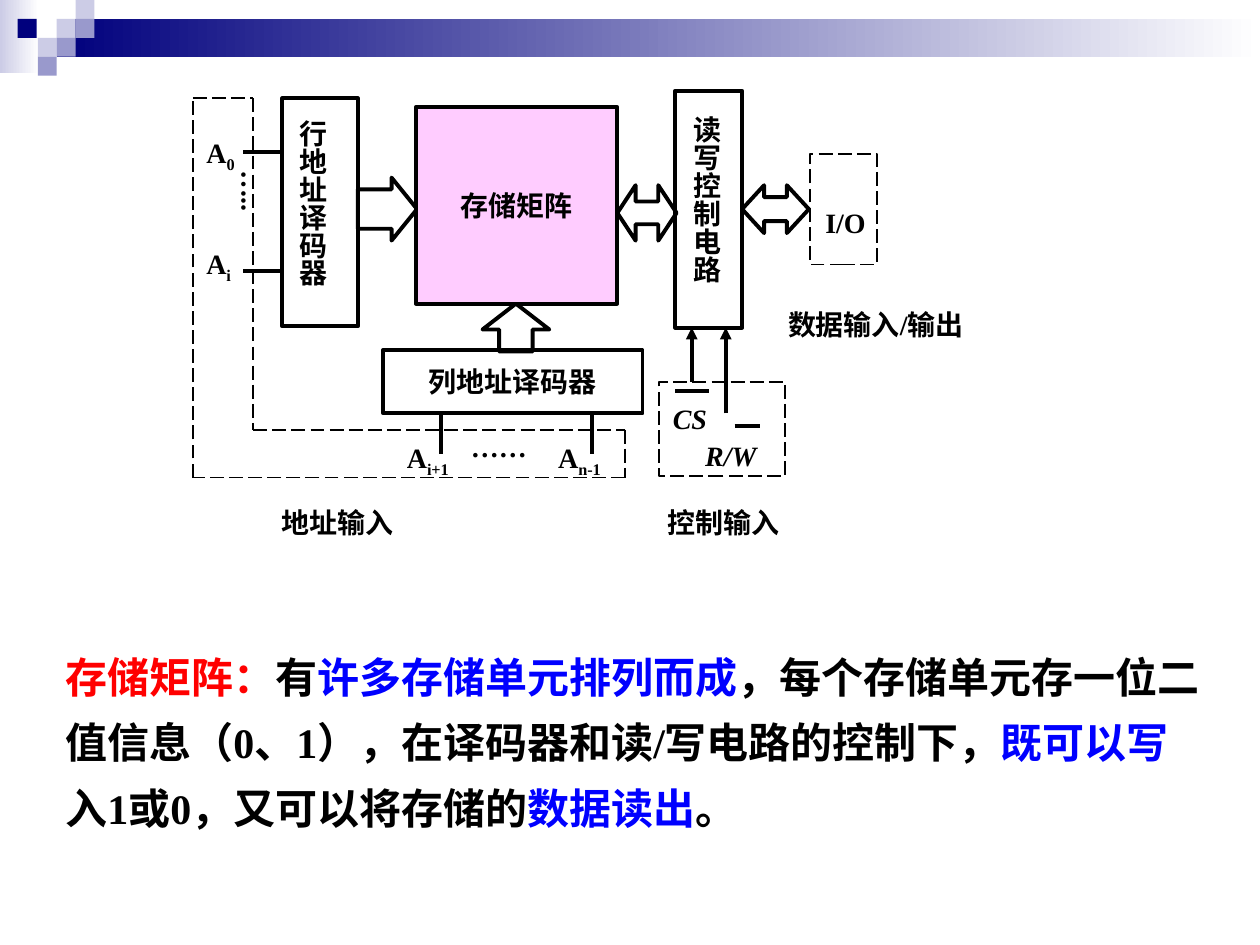
import pptx
import pptx.util
import pptx.dml.color
import pptx.enum.dml
import pptx.enum.shapes
import pptx.enum.text
import pptx.oxml
import pptx.oxml.ns

Inches = pptx.util.Inches
Pt = pptx.util.Pt
SHAPES = pptx.enum.shapes.MSO_SHAPE
ALIGN = pptx.enum.text.PP_ALIGN
LONG_DASH = pptx.enum.dml.MSO_LINE.LONG_DASH
COLORS = {
    "black": "000000", "white": "FFFFFF", "navy": "00007D", "lilac": "CCCCE6",
    "violet": "9999CC", "pink": "FFCCFF", "red": "FF0000", "blue": "0000FF",
}
RGB = {name: pptx.dml.color.RGBColor.from_string(code) for name, code in COLORS.items()}
LABEL_SLACK = 0.06  # extra room on each side along the text, so labels stay on one line

deck = pptx.Presentation()
deck.slide_width = Inches(10)
deck.slide_height = Inches(7.5)
page = deck.slides.add_slide(deck.slide_layouts[6])


def draw(kind, left, top, width, height, fill=None, line=None, dash=None, adjust=()):
    shape = page.shapes.add_shape(
        kind, Inches(left), Inches(top), Inches(width), Inches(height))
    shape.shadow.inherit = False
    for index, value in enumerate(adjust):
        shape.adjustments[index] = value
    if isinstance(fill, tuple):
        shape.fill.gradient()
        shape.fill.gradient_angle = 0
        for stop, name in zip(shape.fill.gradient_stops, fill):
            stop.color.rgb = RGB[name]
    elif fill:
        shape.fill.solid()
        shape.fill.fore_color.rgb = RGB[fill]
    else:
        shape.fill.background()
    if line:
        shape.line.color.rgb = RGB["black"]
        shape.line.width = Pt(line)
        shape.line.dash_style = dash
    else:
        shape.line.fill.background()
    return shape


def write(text, box=None, at=None, sub="", color="black", size=16, italic=False,
          align=ALIGN.CENTER, wrap=False, vertical=False, spacing=None):
    """Put text, or a list of (text, colour) parts, in a shape or a new text box."""
    new = box is None
    if new:
        left, top, width, height = at
        if vertical:
            top, height = top - LABEL_SLACK, height + 2 * LABEL_SLACK
        elif not wrap:
            left, width = left - LABEL_SLACK, width + 2 * LABEL_SLACK
        box = page.shapes.add_textbox(
            Inches(left), Inches(top), Inches(width), Inches(height))
    frame = box.text_frame
    frame.word_wrap = wrap
    if new:
        frame.auto_size = pptx.enum.text.MSO_AUTO_SIZE.SHAPE_TO_FIT_TEXT
    else:
        frame.vertical_anchor = pptx.enum.text.MSO_ANCHOR.MIDDLE
    if vertical:
        frame.margin_left = frame.margin_right = Inches(0.05)
        frame.margin_top = frame.margin_bottom = Inches(0.1)
        frame._txBody.bodyPr.set("vert", "eaVert")
    para = frame.paragraphs[0]
    para.alignment = align
    para.line_spacing = spacing
    parts = [(text, color)] if isinstance(text, str) else text
    if sub:
        parts = parts + [(sub, color)]
    for part, name in parts:
        span = para.add_run()
        span.text = part
        span.font.name = "Times New Roman"
        span.font.size = Pt(size)
        span.font.bold = True
        span.font.italic = italic or None
        span.font.color.rgb = RGB[name]
    if sub:
        span.font._element.set("baseline", "-25000")


# Header band and squares
draw(SHAPES.RECTANGLE, 0, 0, 0.31, 0.58, fill=("lilac", "white"))
draw(SHAPES.RECTANGLE, 0.45, 0.15, 9.55, 0.3, fill=("navy", "white"))
for left, top, fill in [
    (0.45, 0.15, "lilac"), (0.6, 0, "lilac"), (0.6, 0.15, "violet"), (0.3, 0.3, "lilac"),
    (0.14, 0.15, "navy"), (0.45, 0.3, "violet"), (0.3, 0.45, "violet"),
]:
    draw(SHAPES.RECTANGLE, left, top, 0.15, 0.15, fill=fill)

# Lines: start, end, width, dash, arrowhead
corners = [(1.53, 0.78), (2.01, 0.78), (2.01, 3.41), (4.96, 3.41), (4.96, 3.79), (1.53, 3.79)]
address_outline = [(start, end, 1, LONG_DASH, False)
                   for start, end in zip(corners, corners[1:] + corners[:1])]
address_pins = [((1.93, y), (2.4, y), 2.25, None, False) for y in (1.21, 2.15)]
address_pins += [((x, 3.29), (x, 3.6), 2.25, None, False) for x in (3.5, 4.7)]
control_arrows = [((x, y), (x, 2.6), 2.25, None, True) for x, y in [(5.49, 3.03), (5.76, 3.28)]]
overbars = [((5.36, 3.1), (5.63, 3.1), 2.25, None, False),
            ((5.83, 3.38), (6.03, 3.38), 2.25, None, False)]
for start, end, width, dash, arrow in address_outline + address_pins + control_arrows + overbars:
    line = page.shapes.add_connector(
        pptx.enum.shapes.MSO_CONNECTOR.STRAIGHT,
        *[Inches(value) for value in start + end])
    line.line.color.rgb = RGB["black"]
    line.line.width = Pt(width)
    line.line.dash_style = dash
    if arrow:
        tail = pptx.oxml.parse_xml(
            f'<a:tailEnd {pptx.oxml.ns.nsdecls("a")} type="triangle"/>')
        line.line._get_or_add_ln().append(tail)
    line._element.spPr.append(
        pptx.oxml.parse_xml(f'<a:effectLst {pptx.oxml.ns.nsdecls("a")}/>'))

# Blocks
draw(SHAPES.RECTANGLE, 2.24, 0.78, 0.6, 1.81, fill="white", line=2.25)
column_decoder = draw(SHAPES.RECTANGLE, 3.04, 2.78, 2.06, 0.5, line=2.25)
write("列地址译码器", box=column_decoder, wrap=True)
draw(SHAPES.RECTANGLE, 5.36, 0.72, 0.53, 1.88, line=2.25)
draw(SHAPES.RECTANGLE, 5.23, 3.03, 1, 0.75, line=1, dash=LONG_DASH)
draw(SHAPES.RECTANGLE, 6.43, 1.22, 0.53, 0.88, line=1, dash=LONG_DASH)

# Block arrows
for kind, left, top, width, height, adjust in [
    (SHAPES.RIGHT_ARROW, 2.84, 1.41, 0.47, 0.5, (0.625, 0.43)),
    (SHAPES.UP_ARROW, 3.83, 2.41, 0.53, 0.38, (0.5, 0.54)),
    (SHAPES.LEFT_RIGHT_ARROW, 4.9, 1.47, 0.47, 0.44, (0.41, 0.33)),
    (SHAPES.LEFT_RIGHT_ARROW, 5.89, 1.47, 0.53, 0.38, (0.5, 0.46)),
]:
    draw(kind, left, top, width, height, line=2.25, adjust=adjust)

memory_matrix = draw(SHAPES.RECTANGLE, 3.3, 0.85, 1.6, 1.56, fill="pink", line=2.25)
write("存储矩阵", box=memory_matrix)

# Address and signal labels
for sub, at in [
    ("0", (1.54, 1.03, 0.42, 0.41)), ("i", (1.54, 1.91, 0.39, 0.41)),
    ("i+1", (3.13, 3.45, 0.53, 0.41)), ("n-1", (4.33, 3.45, 0.54, 0.41)),
]:
    write("A", sub=sub, at=at)
for text, at in [("CS", (5.24, 3.14, 0.47, 0.37)), ("R/W", (5.5, 3.43, 0.6, 0.37))]:
    write(text, at=at, italic=True)
for text, at in [
    ("……", (3.64, 3.36, 0.64, 0.37)), ("I/O", (6.45, 1.58, 0.52, 0.37)),
    ("地址输入", (2.14, 3.96, 1.08, 0.37)), ("控制输入", (5.2, 3.96, 1.08, 0.37)),
    ("数据输入/输出", (6.1, 2.39, 1.7, 0.37)),
]:
    write(text, at=at)
for text, at in [
    ("行地址译码器", (2.2, 0.91, 0.46, 1.43)), ("…..", (1.73, 1.31, 0.46, 0.44)),
    ("读写控制电路", (5.33, 0.88, 0.46, 1.43)),
]:
    write(text, at=at, vertical=True)

# Explanation
write([
    ("存储矩阵：", "red"), ("有", "black"), ("许多存储单元排列而成", "blue"),
    ("，每个存储单元存一位二值信息（0、1），在译码器和读/写电路的控制下，", "black"),
    ("既可以写", "blue"), ("入1或0，又可以将存储的", "black"),
    ("数据读出", "blue"), ("。", "black"),
], at=(0.42, 5, 9.21, 1.66), size=24, align=ALIGN.LEFT, wrap=True, spacing=1.3)

deck.save("out.pptx")
